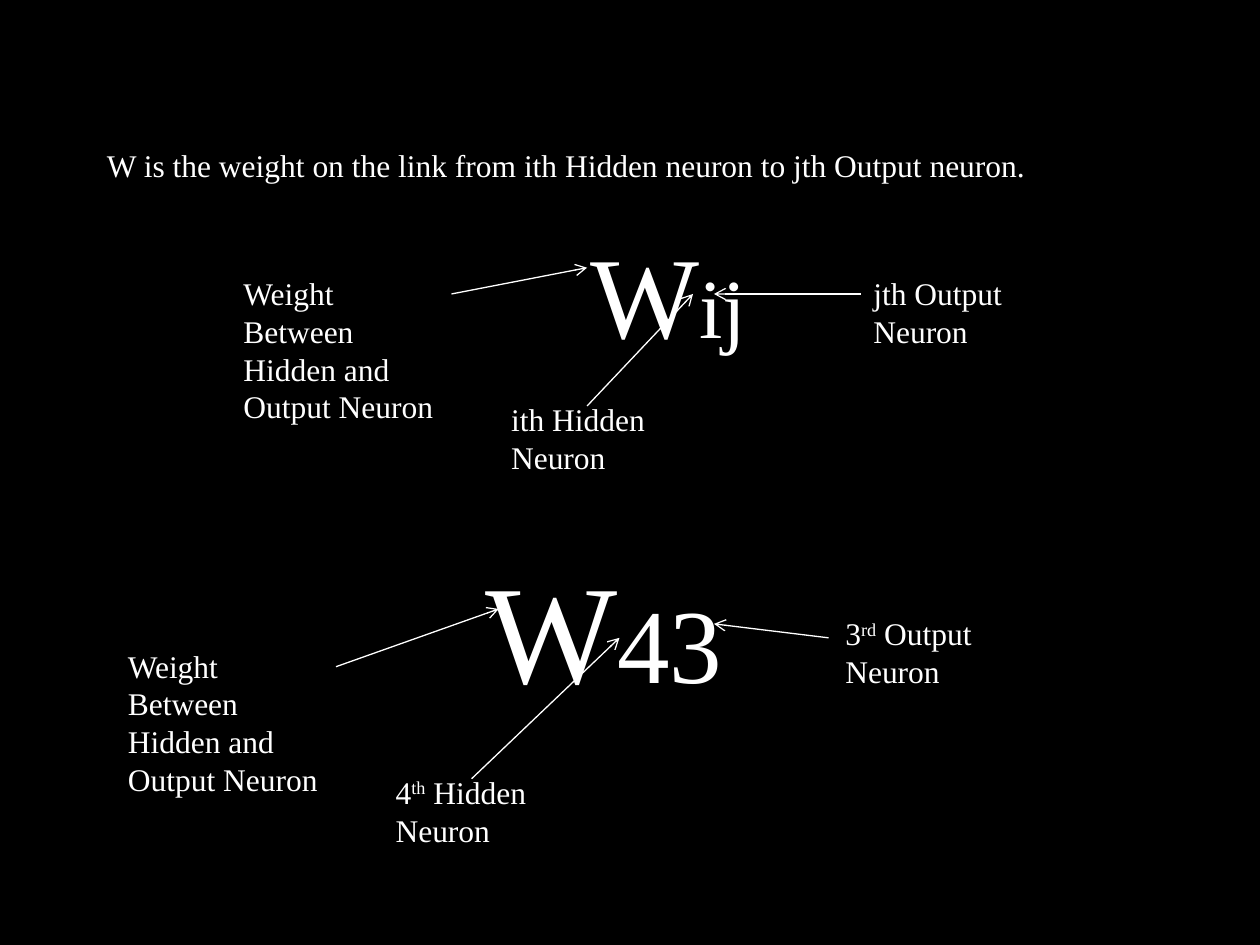
from lxml.etree import SubElement
from pptx import Presentation
from pptx.dml.color import RGBColor
from pptx.enum.shapes import MSO_CONNECTOR
from pptx.oxml.ns import qn
from pptx.util import Pt


def colour(hex_code):
    return RGBColor.from_string(hex_code)


class WeightSlide:
    font = "Times New Roman"
    ink = "FFFFFF"
    ground = "000000"
    body_size = 18

    def __init__(self, deck):
        self.slide = deck.slides.add_slide(deck.slide_layouts[6])
        fill = self.slide.background.fill
        fill.solid()
        fill.fore_color.rgb = colour(self.ground)

    def frame(self, left, top, width, height):
        frame = self.slide.shapes.add_textbox(
            Pt(left), Pt(top), Pt(width), Pt(height)).text_frame
        frame.word_wrap = True
        return frame

    def add_words(self, paragraph, words, size, raised=False):
        run = paragraph.add_run()
        run.text = words
        run.font.name = self.font
        run.font.size = Pt(size)
        run.font.color.rgb = colour(self.ink)
        if raised:
            run.font._element.set("baseline", "30000")

    def label(self, left, top, width, height, words, ordinal=("", "")):
        """A body-size text, optionally led by a number and its raised suffix."""
        paragraph = self.frame(left, top, width, height).paragraphs[0]
        number, suffix = ordinal
        if number:
            self.add_words(paragraph, number, self.body_size)
            self.add_words(paragraph, suffix, self.body_size, raised=True)
        self.add_words(paragraph, words, self.body_size)

    def symbol(self, left, top, index, letter_size, index_size):
        """A large W followed by its smaller index."""
        frame = self.frame(left, top, letter_size * 2.2, letter_size * 1.2)
        frame.margin_left = frame.margin_right = 0
        frame.margin_top = frame.margin_bottom = 0
        self.add_words(frame.paragraphs[0], "W", letter_size)
        self.add_words(frame.paragraphs[0], index, index_size)

    def arrow(self, start, end):
        line = self.slide.shapes.add_connector(
            MSO_CONNECTOR.STRAIGHT, *(Pt(v) for v in start + end))
        line.line.color.rgb = colour(self.ink)
        line.line.width = Pt(0.75)
        SubElement(line.line._get_or_add_ln(), qn("a:tailEnd"), type="arrow")
        SubElement(line._element.spPr, qn("a:effectLst"))


def main():
    deck = Presentation()
    deck.slide_width, deck.slide_height = Pt(720), Pt(540)
    page = WeightSlide(deck)

    # Statement
    page.label(54, 79.7, 612, 30,
               "W is the weight on the link from ith Hidden neuron "
               "to jth Output neuron.")

    # Symbols: general form and example
    page.symbol(337.2, 127.5, "ij", 66, 48)
    page.symbol(277.2, 310.4, "43", 80, 60)

    # Weight labels
    for left, top in [(132, 153), (66, 366)]:
        page.label(left, top, 132, 94.5,
                   "Weight Between Hidden and Output Neuron")

    # Neuron labels
    for left, top, words, ordinal in [
        (285, 225, "ith Hidden Neuron", ("", "")),
        (492, 153, "jth Output Neuron", ("", "")),
        (219, 438, " Hidden Neuron", ("4", "th")),
        (476, 347.5, " Output Neuron", ("3", "rd")),
    ]:
        page.label(left, top, 102, 51, words, ordinal)

    # Arrows from each label to its part of the symbol
    for start, end in [
        ((258, 168), (335.5, 153)),
        ((335.5, 232), (396, 168)),
        ((492, 168), (408, 168)),
        ((192, 381), (285, 348)),
        ((269.5, 445), (354, 364.5)),
        ((473.5, 364.5), (408, 356.5)),
    ]:
        page.arrow(start, end)

    deck.save("out.pptx")


if __name__ == "__main__":
    main()
